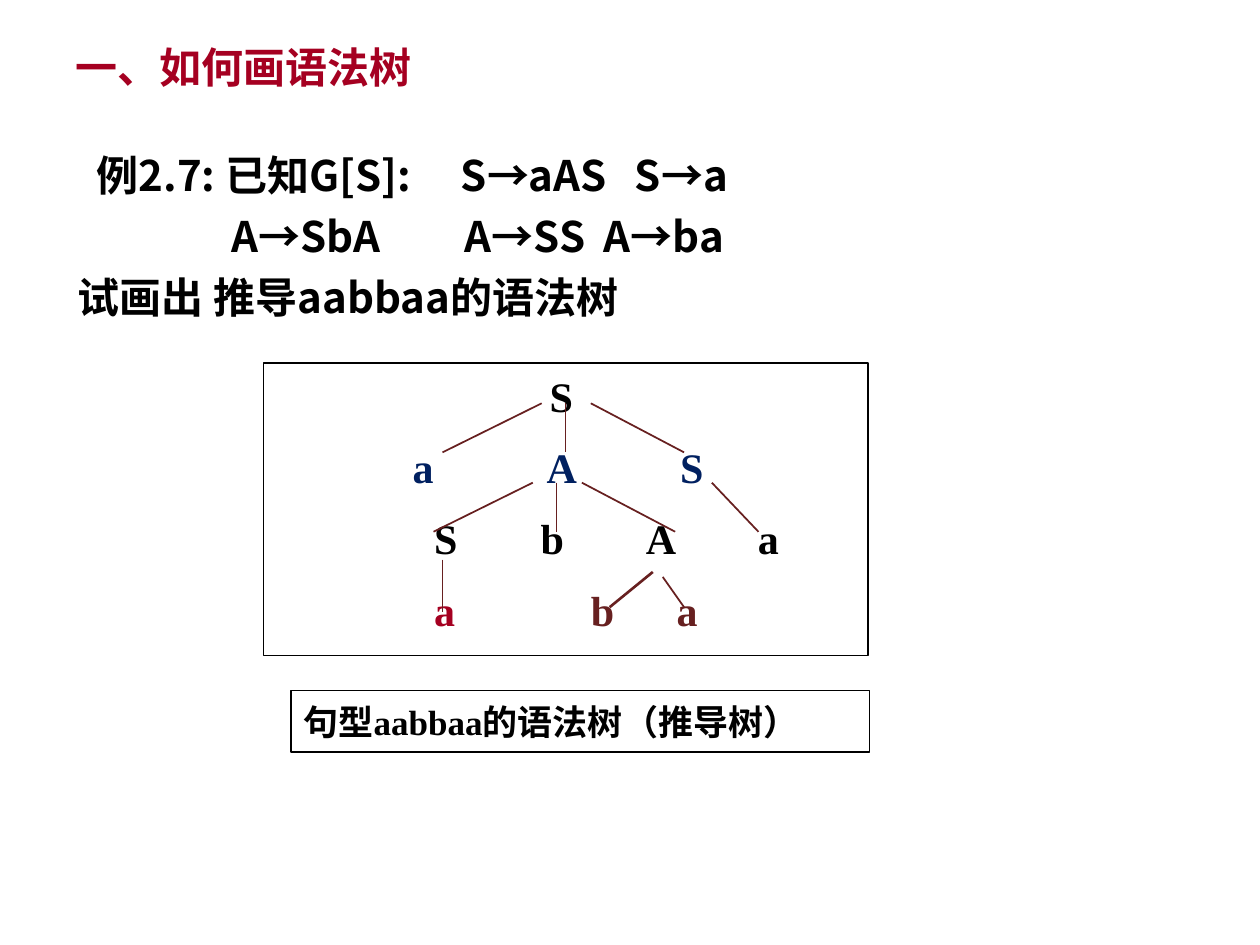
"""Build a slide that shows how to draw a syntax tree."""
from dataclasses import dataclass
from typing import NamedTuple

from lxml import etree
from pptx import Presentation
from pptx import util as u
from pptx.dml.color import RGBColor
from pptx.enum import shapes, text
from pptx.oxml import ns


@dataclass(frozen=True)
class Theme:
    black: str = "000000"
    red: str = "A50021"
    navy: str = "002060"
    brown: str = "672020"
    large: int = 24
    small: int = 20
    sans: str = "Noto Sans CJK SC"
    serif: str = "Times New Roman"
    narrow: str = "Arial Narrow"
    line_height: float = 1.2
    border: float = 0.75


class Span(NamedTuple):
    words: str
    color: str
    tab: float = 0


class Panel(NamedTuple):
    area: tuple[float, float, float, float]
    rows: list[list[Span]]
    font: str
    size: int
    gap: float = 0
    top: float = 0.2
    framed: bool = False


class Edge(NamedTuple):
    start: tuple[float, float]
    end: tuple[float, float]
    width: float = 1

    def moved(self, right: float, down: float) -> "Edge":
        """Return the same edge at a shifted place."""
        (x1, y1), (x2, y2) = self.start, self.end
        return Edge((x1 + right, y1 + down), (x2 + right, y2 + down), self.width)


THEME = Theme()

PANELS = [
    Panel((1.32, 2.82, 23.34, 3.84), [
        [Span("例2.7: 已知G[S]:", THEME.black, 0.38),
         Span("S→aAS", THEME.black, 7.72), Span("S→a", THEME.black, 11.23)],
        [Span("A→SbA", THEME.black, 3.1),
         Span("A→SS", THEME.black, 7.8), Span("A→ba", THEME.black, 10.6)],
        [Span("试画出 推导aabbaa的语法树", THEME.black)],
    ], THEME.sans, THEME.large, gap=0.25),
    Panel((5.31, 7.32, 12.19, 5.89), [
        [Span("S", THEME.black, 5.52)],
        [Span("a", THEME.navy, 2.76), Span("A", THEME.navy, 5.46),
         Span("S", THEME.navy, 8.15)],
        [Span("S", THEME.black, 3.19), Span("b", THEME.black, 5.34),
         Span("A", THEME.black, 7.46), Span("a", THEME.black, 9.72)],
        [Span("a", THEME.red, 3.19), Span("b", THEME.brown, 6.35),
         Span("a", THEME.brown, 8.08)],
    ], THEME.serif, THEME.large, gap=0.5, top=0.14, framed=True),
    Panel((5.87, 13.92, 11.66, 1.24),
          [[Span("句型aabbaa的语法树（推导树）", THEME.black)]],
          THEME.serif, THEME.small, framed=True),
    Panel((1.27, 0.64, 21.59, 1.27),
          [[Span("一、如何画语法树", THEME.red)]],
          THEME.narrow, THEME.large),
]

ROOT_FAN = [
    Edge((10.92, 8.13), (8.92, 9.12)),
    Edge((11.4, 8.13), (11.4, 9.12)),
    Edge((11.91, 8.13), (13.79, 9.12)),
]
FANS = [
    ROOT_FAN,
    [edge.moved(-0.18, 1.6) for edge in ROOT_FAN],
    [Edge((14.35, 9.73), (15.29, 10.72))],
    [Edge((8.92, 11.28), (8.92, 12.34))],
    [Edge((13.16, 11.53), (12.29, 12.24), 1.5),
     Edge((13.36, 11.63), (13.79, 12.24))],
]


def add_span(para, words: str, *, font: str, size: int, color: str) -> None:
    """Add one bold run with the given font, size and colour."""
    run = para.add_run()
    run.text = words
    run.font.size = u.Pt(size)
    run.font.bold = True
    run.font.color.rgb = RGBColor.from_string(color)
    run.font.name = font
    properties = run.font._element
    etree.SubElement(properties, ns.qn("a:ea"), typeface=THEME.sans)


def add_tabs(para, row: list[Span]) -> None:
    """Give the paragraph a left tab stop for each indented span."""
    stops = [span.tab for span in row if span.tab]
    if stops:
        tabs = etree.SubElement(para._p.get_or_add_pPr(), ns.qn("a:tabLst"))
        for stop in stops:
            etree.SubElement(tabs, ns.qn("a:tab"), pos=str(u.Cm(stop)), algn="l")


def draw_panel(page, panel: Panel) -> None:
    """Draw a plain or framed block of text."""
    area = [u.Cm(length) for length in panel.area]
    if panel.framed:
        box = page.shapes.add_shape(shapes.MSO_SHAPE.RECTANGLE, *area)
        box.shadow.inherit = False
        box.fill.background()
        box.line.color.rgb = RGBColor.from_string(THEME.black)
        box.line.width = u.Pt(THEME.border)
    else:
        box = page.shapes.add_textbox(*area)
    frame = box.text_frame
    frame.word_wrap = True
    frame.vertical_anchor = text.MSO_ANCHOR.TOP
    frame.margin_top = u.Cm(panel.top)
    for index, row in enumerate(panel.rows):
        para = frame.add_paragraph() if index else frame.paragraphs[0]
        para.alignment = text.PP_ALIGN.LEFT
        para.line_spacing = u.Pt(panel.size * THEME.line_height)
        para.space_before = u.Pt(panel.size * panel.gap if index else 0)
        add_tabs(para, row)
        for span in row:
            words = "\t" + span.words if span.tab else span.words
            add_span(para, words, font=panel.font, size=panel.size, color=span.color)


def draw_fan(page, edges: list[Edge]) -> None:
    """Draw the edges below one node, grouped when there are several."""
    parent = page.shapes.add_group_shape() if len(edges) > 1 else page
    for edge in edges:
        ends = [u.Cm(length) for length in (*edge.start, *edge.end)]
        line = parent.shapes.add_connector(shapes.MSO_CONNECTOR.STRAIGHT, *ends)
        line.line.color.rgb = RGBColor.from_string(THEME.brown)
        line.line.width = u.Pt(edge.width)
        etree.SubElement(line._element.spPr, ns.qn("a:effectLst"))


def main() -> None:
    """Build and save the deck."""
    deck = Presentation()
    deck.slide_width, deck.slide_height = u.Cm(25.4), u.Cm(19.05)
    page = deck.slides.add_slide(deck.slide_layouts[6])
    for panel in PANELS:
        draw_panel(page, panel)
    for fan in FANS:
        draw_fan(page, fan)
    deck.save("out.pptx")


if __name__ == "__main__":
    main()
